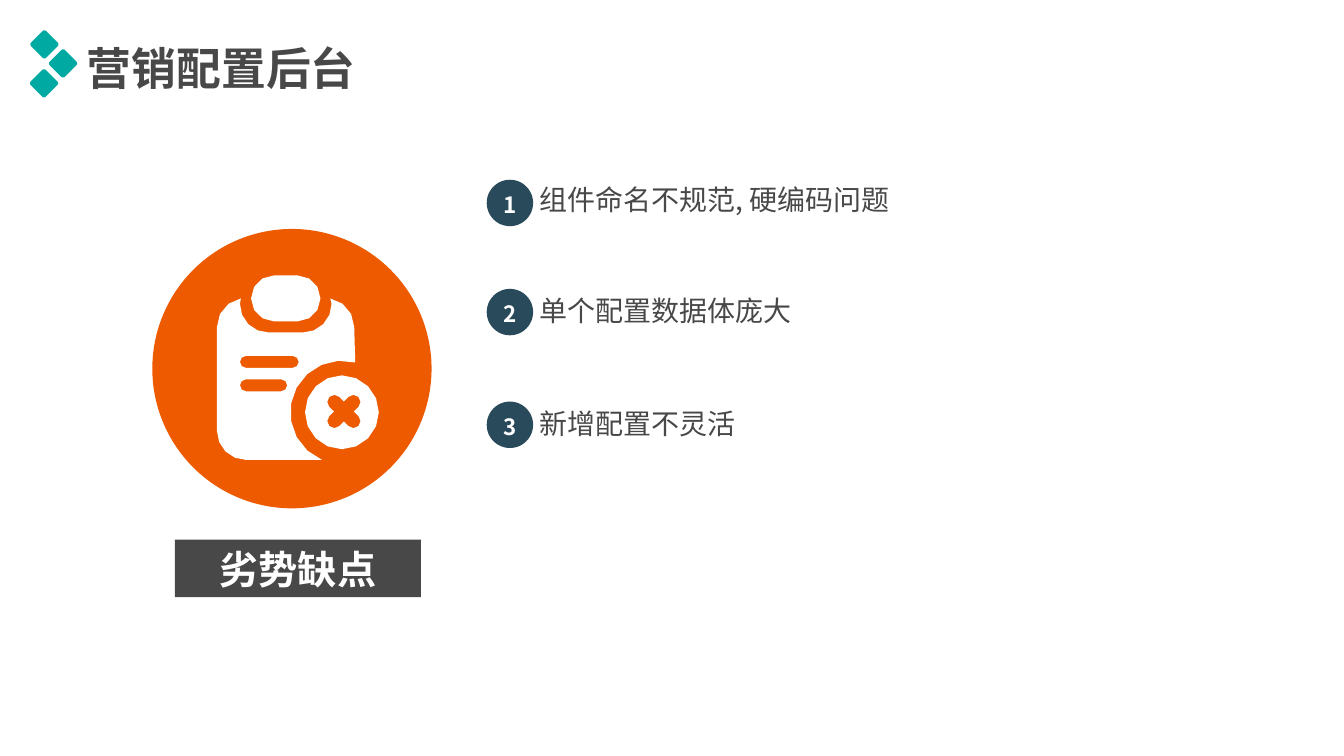
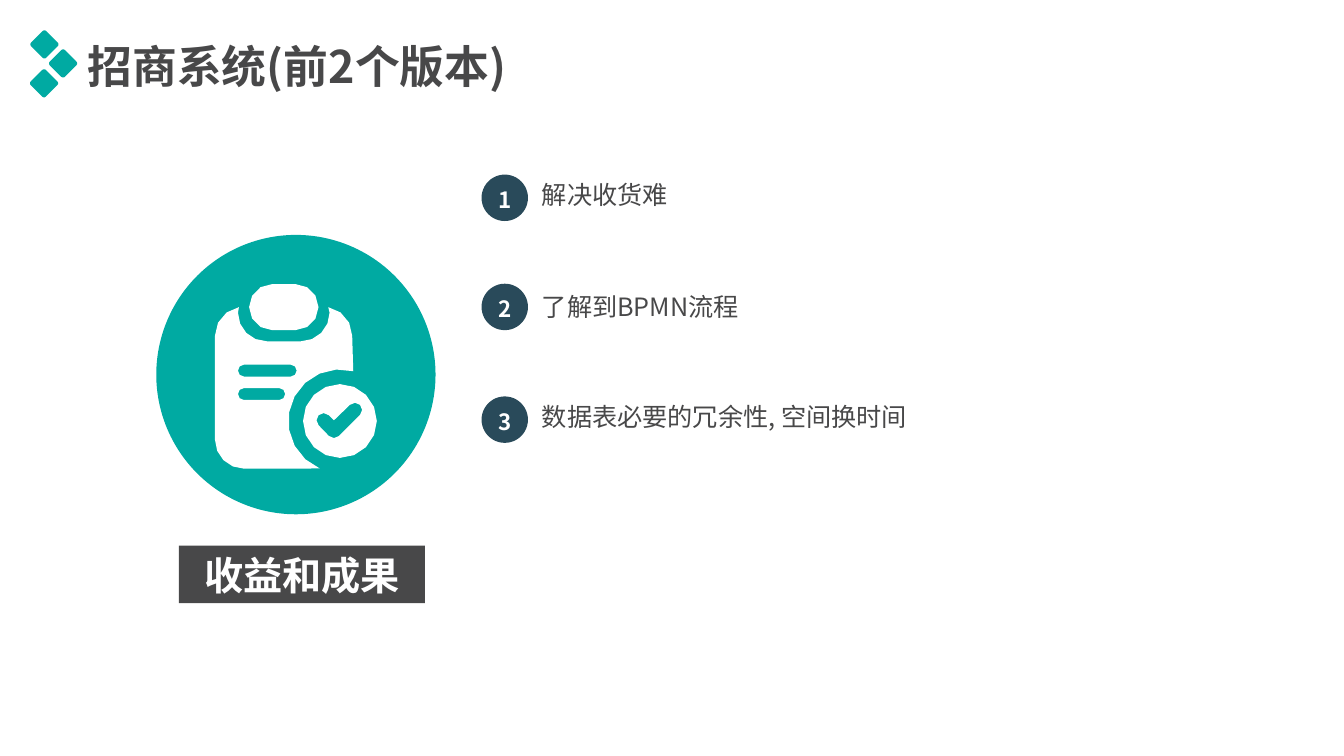
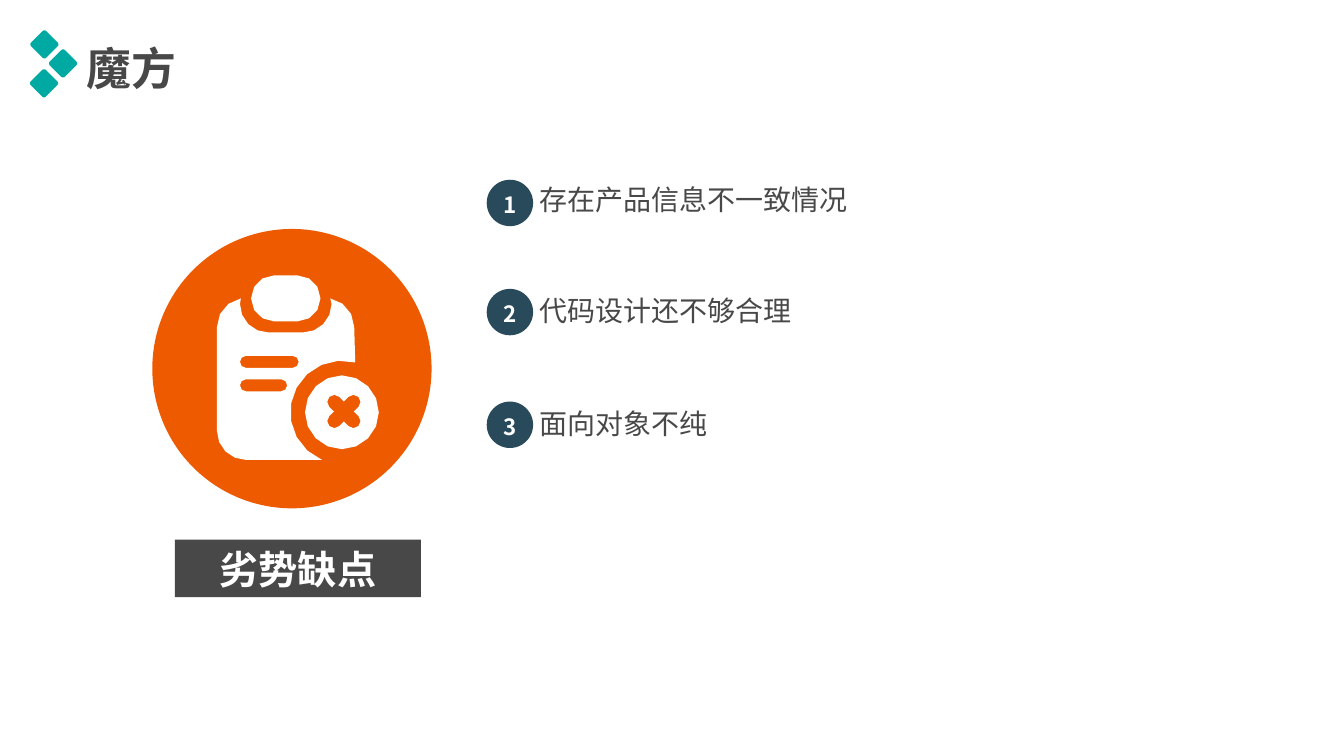
from dataclasses import dataclass
from math import acos, ceil, cos, degrees, radians, sin

from lxml import etree
from pptx import Presentation
from pptx.dml.color import RGBColor
from pptx.enum.shapes import MSO_SHAPE
from pptx.enum.text import MSO_ANCHOR, PP_ALIGN
from pptx.oxml.ns import qn
from pptx.util import Cm, Pt

RECTANGLE = MSO_SHAPE.RECTANGLE
ROUNDED = MSO_SHAPE.ROUNDED_RECTANGLE
OVAL = MSO_SHAPE.OVAL
MIDDLE = MSO_ANCHOR.MIDDLE
LEFT = PP_ALIGN.LEFT
CENTER = PP_ALIGN.CENTER

FONT = "Noto Sans CJK SC"
TEAL = "00AAA2"
ORANGE = "ED5A00"
NAVY = "294A5A"
GREY = "484849"
WHITE = "FFFFFF"

# All measures below are in centimetres.
DIAMOND_CENTRES = [(1.12, 1.12), (1.59, 1.6), (1.11, 2.1)]
DIAMOND_SIDE = 0.54
BADGE_SIZE = 1.17
BADGE_TOPS = (0, 2.75, 5.59)
CIRCLE_SIZE = 7.04
ARC_TOLERANCE = 0.02


@dataclass
class Theme:
    """What sets one type of slide apart; inner offsets count from its box."""
    label: str
    accent: str
    mark: list
    title: tuple
    panel: tuple
    icon_offset: tuple
    items: tuple
    text_left: float
    text_tops: tuple
    text_size: tuple
    points: int


def arc(x, y, radius, start, end):
    """Fewest points along an arc, in degrees clockwise from the right."""
    widest = 2 * degrees(acos(1 - ARC_TOLERANCE / radius))
    steps = ceil(abs(end - start) / widest)
    angles = [radians(start + (end - start) * i / steps) for i in range(steps + 1)]
    return [(x + radius * cos(a), y + radius * sin(a)) for a in angles]


def pill(left, top, width, height):
    radius = height / 2
    return (arc(left + radius, top + radius, radius, 90, 270)
            + arc(left + width - radius, top + radius, radius, -90, 90))


def cross(x, y, reach=0.24, radius=0.18, notch=0.25):
    points = []
    for angle in (45, 135, 225, 315):
        side_x = 1 if cos(radians(angle)) > 0 else -1
        side_y = 1 if sin(radians(angle)) > 0 else -1
        points += arc(x + side_x * reach, y + side_y * reach, radius,
                      angle - 90, angle + 90)
        turn = radians(angle + 45)
        points.append((x + notch * cos(turn), y + notch * sin(turn)))
    return points


def tick(x, y, radius=0.18):
    """Check mark whose inner corner is at x, y."""
    return (arc(x + 0.53, y - 0.26, radius, -135, 45)
            + arc(x, y + 0.27, radius, 45, 135)
            + arc(x - 0.26, y, radius, 135, 315)
            + [(x, y)])


def clipboard():
    """Contours of the clipboard, its two lines and the round badge."""
    body = (arc(2.17, 0.72, 0.72, 0, 90)
            + arc(1.3, 0.72, 0.72, 90, 180)
            + arc(0.73, 1.3, 0.73, 260, 180)
            + arc(0.73, 3.92, 0.73, 180, 90)
            + arc(3.15, 3.45, 1.3, 113, 285)
            + arc(2.73, 1.3, 0.73, 0, -80))
    return [pill(0.86, 0, 1.75, 1.16), body,
            pill(0.58, 2.03, 1.48, 0.3), pill(0.58, 2.62, 1.19, 0.3),
            arc(3.15, 3.45, 0.93, 0, 360)[:-1]]


def paint(shape, color):
    shape.shadow.inherit = False
    shape.fill.solid()
    shape.fill.fore_color.rgb = RGBColor.from_string(color)
    shape.line.fill.background()


def add_block(slide, kind, left, top, width, height, color):
    shape = slide.shapes.add_shape(kind, Cm(left), Cm(top), Cm(width), Cm(height))
    paint(shape, color)
    return shape


def add_outline(slide, left, top, contours, color):
    """Draw closed contours as one shape, inner ones being holes."""
    placed = [[(Cm(left + x), Cm(top + y)) for x, y in contour]
              for contour in contours]
    builder = slide.shapes.build_freeform(*placed[0][0])
    for number, contour in enumerate(placed):
        if number:
            builder.move_to(*contour[0])
        builder.add_line_segments(contour[1:], close=True)
    paint(builder.convert_to_shape(), color)


def write(shape, text, size, color, bold=False, align=LEFT, inset=0.25):
    frame = shape.text_frame
    frame.text = text
    frame.word_wrap = True
    frame.vertical_anchor = MIDDLE
    frame.margin_left = frame.margin_right = Cm(inset)
    frame.margin_top = frame.margin_bottom = 0
    paragraph = frame.paragraphs[0]
    paragraph.alignment = align
    for run in paragraph.runs:
        font = run.font
        font.size = Pt(size)
        font.bold = bold
        font.color.rgb = RGBColor.from_string(color)
        font.name = FONT
        east_asian = etree.SubElement(run._r.get_or_add_rPr(), qn("a:ea"))
        east_asian.set("typeface", FONT)


def add_text(slide, left, top, width, height, text, size, bold=False):
    box = slide.shapes.add_textbox(Cm(left), Cm(top), Cm(width), Cm(height))
    write(box, text, size, GREY, bold)


def add_header(slide, theme, title):
    half = DIAMOND_SIDE / 2
    for x, y in DIAMOND_CENTRES:
        diamond = add_block(slide, ROUNDED, x - half, y - half,
                            DIAMOND_SIDE, DIAMOND_SIDE, TEAL)
        diamond.adjustments[0] = 0.12
        diamond.rotation = 45
    add_text(slide, *theme.title, 16.61, 1.63, title, 32, bold=True)


def add_panel(slide, theme):
    """Coloured circle with the clipboard, and the label below it."""
    left, top = theme.panel
    add_block(slide, OVAL, left, top, CIRCLE_SIZE, CIRCLE_SIZE, theme.accent)
    shift_x, shift_y = theme.icon_offset
    add_outline(slide, left + shift_x, top + shift_y,
                clipboard() + [theme.mark], WHITE)
    label = add_block(slide, RECTANGLE, left + 0.57, top + 7.83, 6.2, 1.45, GREY)
    write(label, theme.label, 28, WHITE, bold=True, align=CENTER)


def add_items(slide, theme, items):
    left, top = theme.items
    rows = zip(items, BADGE_TOPS, theme.text_tops)
    for number, (item, badge_top, text_top) in enumerate(rows, 1):
        badge = add_block(slide, OVAL, left, top + badge_top,
                          BADGE_SIZE, BADGE_SIZE, NAVY)
        write(badge, str(number), 16, WHITE, bold=True, align=CENTER, inset=0)
        badge.text_frame.margin_top = Cm(0.1)
        add_text(slide, left + theme.text_left, top + text_top,
                 *theme.text_size, item, theme.points)


WEAKNESS = Theme("劣势缺点", ORANGE, cross(3.2, 3.43), title=(1.94, 0.88),
                 panel=(3.84, 5.77), icon_offset=(1.63, 1.17),
                 items=(12.27, 4.53), text_left=1.07,
                 text_tops=(-0.06, 2.74, 5.58), text_size=(17.8, 1.12), points=20)
GAINS = Theme("收益和成果", TEAL, tick(3, 3.43), title=(1.96, 0.83),
              panel=(3.94, 5.92), icon_offset=(1.48, 1.24),
              items=(12.14, 4.4), text_left=1.27,
              text_tops=(-0.01, 2.81, 5.58), text_size=(16.92, 1.02), points=18)

SLIDES = [
    ("营销配置后台", WEAKNESS,
     ["组件命名不规范, 硬编码问题", "单个配置数据体庞大", "新增配置不灵活"]),
    ("招商系统(前2个版本)", GAINS,
     ["解决收货难", "了解到BPMN流程", "数据表必要的冗余性, 空间换时间"]),
    ("魔方", WEAKNESS,
     ["存在产品信息不一致情况", "代码设计还不够合理", "面向对象不纯"]),
]


def main():
    presentation = Presentation()
    presentation.slide_width = Cm(33.88)
    presentation.slide_height = Cm(19.05)
    blank = presentation.slide_layouts[6]
    for title, theme, items in SLIDES:
        slide = presentation.slides.add_slide(blank)
        add_header(slide, theme, title)
        add_panel(slide, theme)
        add_items(slide, theme, items)
    presentation.save("out.pptx")


if __name__ == "__main__":
    main()
